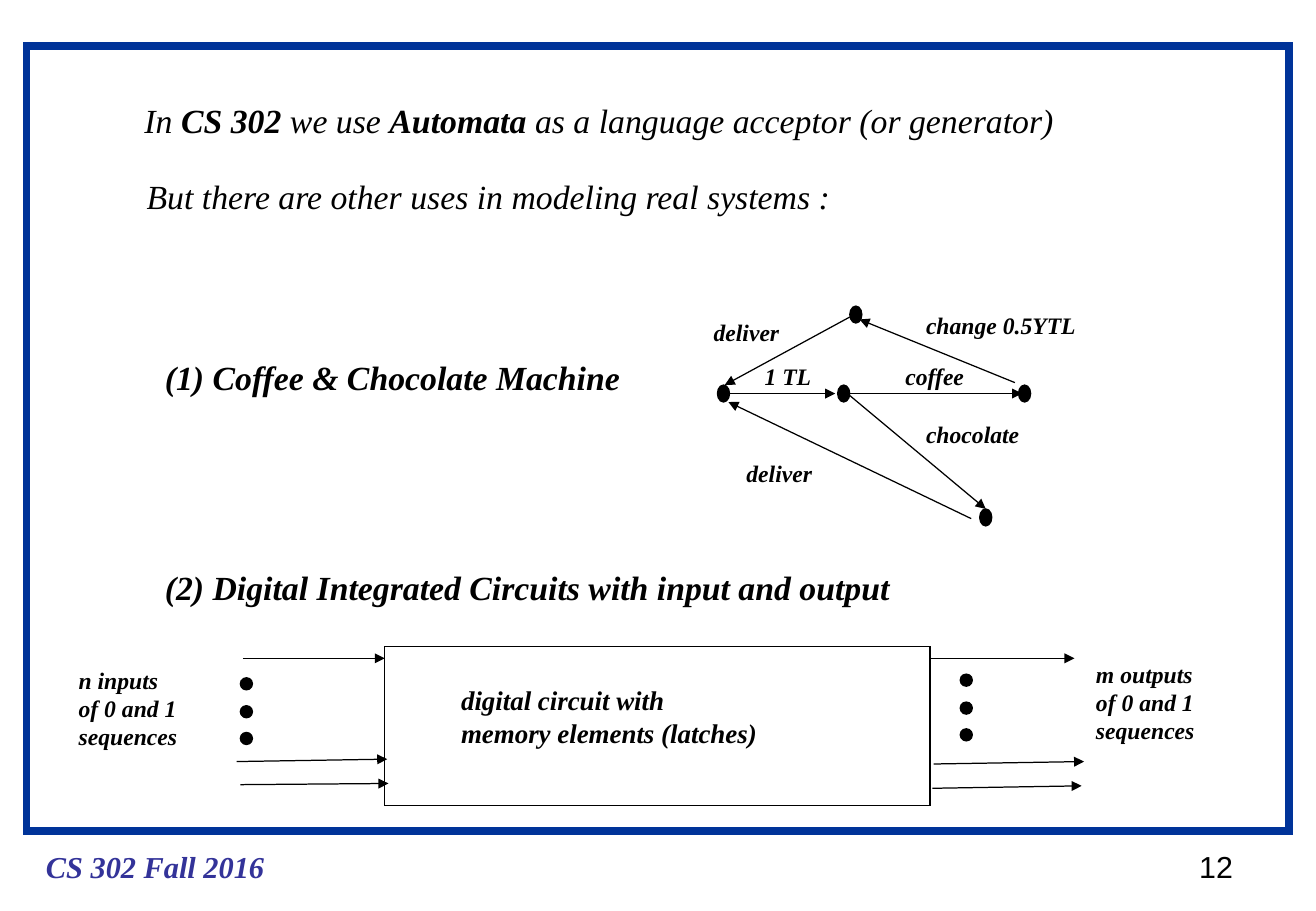
from dataclasses import dataclass

from lxml import etree
from pptx import Presentation
from pptx.dml.color import RGBColor
from pptx.enum.shapes import MSO_CONNECTOR, MSO_SHAPE
from pptx.enum.text import MSO_ANCHOR, MSO_AUTO_SIZE, PP_ALIGN
from pptx.oxml.ns import qn
from pptx.util import Inches, Pt

STRAIGHT = MSO_CONNECTOR.STRAIGHT
RECTANGLE = MSO_SHAPE.RECTANGLE
OVAL = MSO_SHAPE.OVAL
TOP = MSO_ANCHOR.TOP
NO_AUTOFIT = MSO_AUTO_SIZE.NONE
LEFT = PP_ALIGN.LEFT


@dataclass(frozen=True)
class Theme:
    ink: RGBColor = RGBColor(0, 0, 0)
    paper: RGBColor = RGBColor(255, 255, 255)
    frame: RGBColor = RGBColor(0, 0x33, 0x99)
    course: RGBColor = RGBColor(0x33, 0x33, 0x99)
    serif: str = "Times New Roman"
    sans: str = "Arial"
    heading: int = 20
    footer: int = 18
    circuit: int = 16
    label: int = 14
    thin: float = 0.75
    thick: float = 4.5


THEME = Theme()

TITLE_PLACE = (1.09, 0.77, 8, 0.44)
TITLE_RUNS = [
    ("In ", False),
    ("CS 302", True),
    (" we use ", False),
    ("Automata ", True),
    ("as a language acceptor (or generator)", False),
]
INTRO = ("But there are other uses in modeling real systems :", (1.11, 1.4, 6, 0.44))
EXAMPLES = [
    ("(1) Coffee & Chocolate Machine", (1.26, 2.89, 4.1, 0.44)),
    ("(2) Digital Integrated Circuits with input and output", (1.26, 4.62, 6.4, 0.44)),
]
COURSE = ("CS 302 Fall 2016", (0.28, 6.93, 2.15, 0.4))
PAGE = ("12", (9.78, 6.93, 0.6, 0.4))

FRAME = (0.22, 0.38, 10.4, 6.46)
STATES = [(5.96, 3.24), (6.95, 3.24), (8.44, 3.24), (8.12, 4.26), (7.05, 2.59)]
STATE_SIZE = (0.1, 0.14)
TRANSITIONS = [
    ("1 TL", (6.2, 2.93, 0.7, 0.34), (5.97, 3.24), (6.88, 3.24)),
    ("coffee", (7.36, 2.93, 0.8, 0.34), (6.9, 3.24), (8.42, 3.24)),
    ("chocolate", (7.53, 3.41, 1.1, 0.34), (6.98, 3.24), (8.12, 4.19)),
    ("deliver", (6.05, 3.73, 0.85, 0.34), (8, 4.27), (6, 3.31)),
    ("change 0.5YTL", (7.53, 2.51, 1.6, 0.34), (8.36, 3.15), (7.08, 2.63)),
    ("deliver", (5.78, 2.57, 0.85, 0.34), (7, 2.61), (5.97, 3.17)),
]

CIRCUIT = (3.17, 5.32, 4.49, 1.31)
CIRCUIT_TEXT = (
    "digital circuit with\nmemory elements (latches)",
    (3.7, 5.58, 2.8, 0.64),
)
SIGNAL_TEXTS = [
    ("n inputs\nof 0 and 1\nsequences", (0.55, 5.43, 1.2, 0.8)),
    ("m outputs\nof 0 and 1\nsequences", (8.93, 5.38, 1.2, 0.8)),
]
SIGNALS = [
    ((2, 5.42), (3.17, 5.42)),
    ((1.95, 6.27), (3.19, 6.25)),
    ((1.98, 6.46), (3.2, 6.45)),
    ((7.66, 5.42), (8.85, 5.42)),
    ((7.69, 6.29), (8.93, 6.27)),
    ((7.68, 6.49), (8.91, 6.47)),
]
ELLIPSES = [(1.98, 5.58), (7.91, 5.55)]
DOT_OFFSETS = (0, 0.23, 0.45)
DOT_SIZE = 0.1


def inches(values):
    return [Inches(value) for value in values]


def style_font(font, size, color=THEME.ink, face=THEME.serif, bold=True, italic=True):
    font.name = face
    font.size = Pt(size)
    font.color.rgb = color
    font.bold = bold
    font.italic = italic


def add_text(shapes, content, size, **style):
    words, place = content
    frame = shapes.add_textbox(*inches(place)).text_frame
    frame.word_wrap = True
    frame.text = words
    for paragraph in frame.paragraphs:
        style_font(paragraph.font, size, **style)


def add_figure(shapes, preset, place, fill, line=THEME.ink, width=THEME.thin):
    figure = shapes.add_shape(preset, *inches(place))
    figure.shadow.inherit = False
    if fill is None:
        figure.fill.background()
    else:
        figure.fill.solid()
        figure.fill.fore_color.rgb = fill
    figure.line.color.rgb = line
    figure.line.width = Pt(width)
    etree.SubElement(figure.line._get_or_add_ln(), qn("a:miter"), lim="800000")


def add_arrow(shapes, start, end):
    arrow = shapes.add_connector(STRAIGHT, *inches(start + end))
    arrow.line.color.rgb = THEME.ink
    arrow.line.width = Pt(THEME.thin)
    outline = arrow.line._get_or_add_ln()
    etree.SubElement(outline, qn("a:tailEnd"), type="triangle")
    etree.SubElement(arrow._element.spPr, qn("a:effectLst"))


def fill_title(title):
    title.left, title.top, title.width, title.height = inches(TITLE_PLACE)
    frame = title.text_frame
    frame.auto_size = NO_AUTOFIT
    frame.vertical_anchor = TOP
    frame.word_wrap = True
    paragraph = frame.paragraphs[0]
    paragraph.alignment = LEFT
    style_font(paragraph.font, THEME.heading, bold=False)
    for words, bold in TITLE_RUNS:
        run = paragraph.add_run()
        run.text = words
        run.font.bold = bold


def draw_machine(shapes):
    width, height = STATE_SIZE
    for x, y in STATES:
        add_figure(shapes, OVAL, (x - width / 2, y - height / 2, width, height), THEME.ink)
    for label, place, start, end in TRANSITIONS:
        add_arrow(shapes, start, end)
        add_text(shapes, (label, place), THEME.label)


def draw_circuit(shapes):
    add_figure(shapes, RECTANGLE, CIRCUIT, THEME.paper)
    add_text(shapes, CIRCUIT_TEXT, THEME.circuit)
    for start, end in SIGNALS:
        add_arrow(shapes, start, end)
    for x, y in ELLIPSES:
        dots = shapes.add_group_shape().shapes
        for offset in DOT_OFFSETS:
            add_figure(dots, OVAL, (x, y + offset, DOT_SIZE, DOT_SIZE), THEME.ink)
    for signal_text in SIGNAL_TEXTS:
        add_text(shapes, signal_text, THEME.label)


def main():
    deck = Presentation()
    deck.slide_width, deck.slide_height = inches((10.84, 7.5))
    slide = deck.slides.add_slide(deck.slide_layouts[5])
    shapes = slide.shapes
    fill_title(shapes.title)
    add_figure(shapes, RECTANGLE, FRAME, None, THEME.frame, THEME.thick)
    add_text(shapes, INTRO, THEME.heading, bold=False)
    for example in EXAMPLES:
        add_text(shapes, example, THEME.heading)
    draw_machine(shapes)
    draw_circuit(shapes)
    add_text(shapes, COURSE, THEME.footer, color=THEME.course)
    add_text(shapes, PAGE, THEME.footer, face=THEME.sans, bold=False, italic=False)
    deck.save("out.pptx")


if __name__ == "__main__":
    main()
